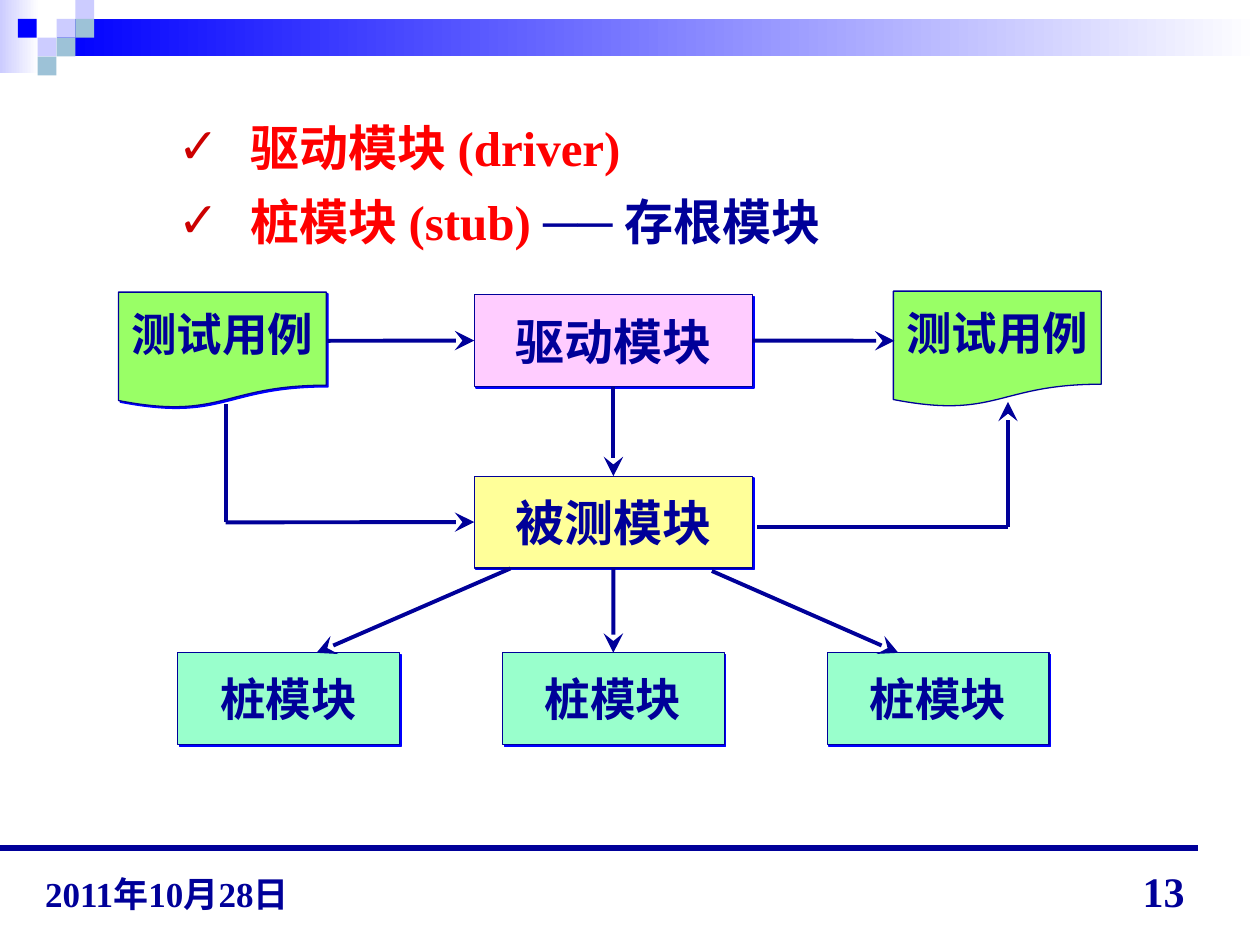
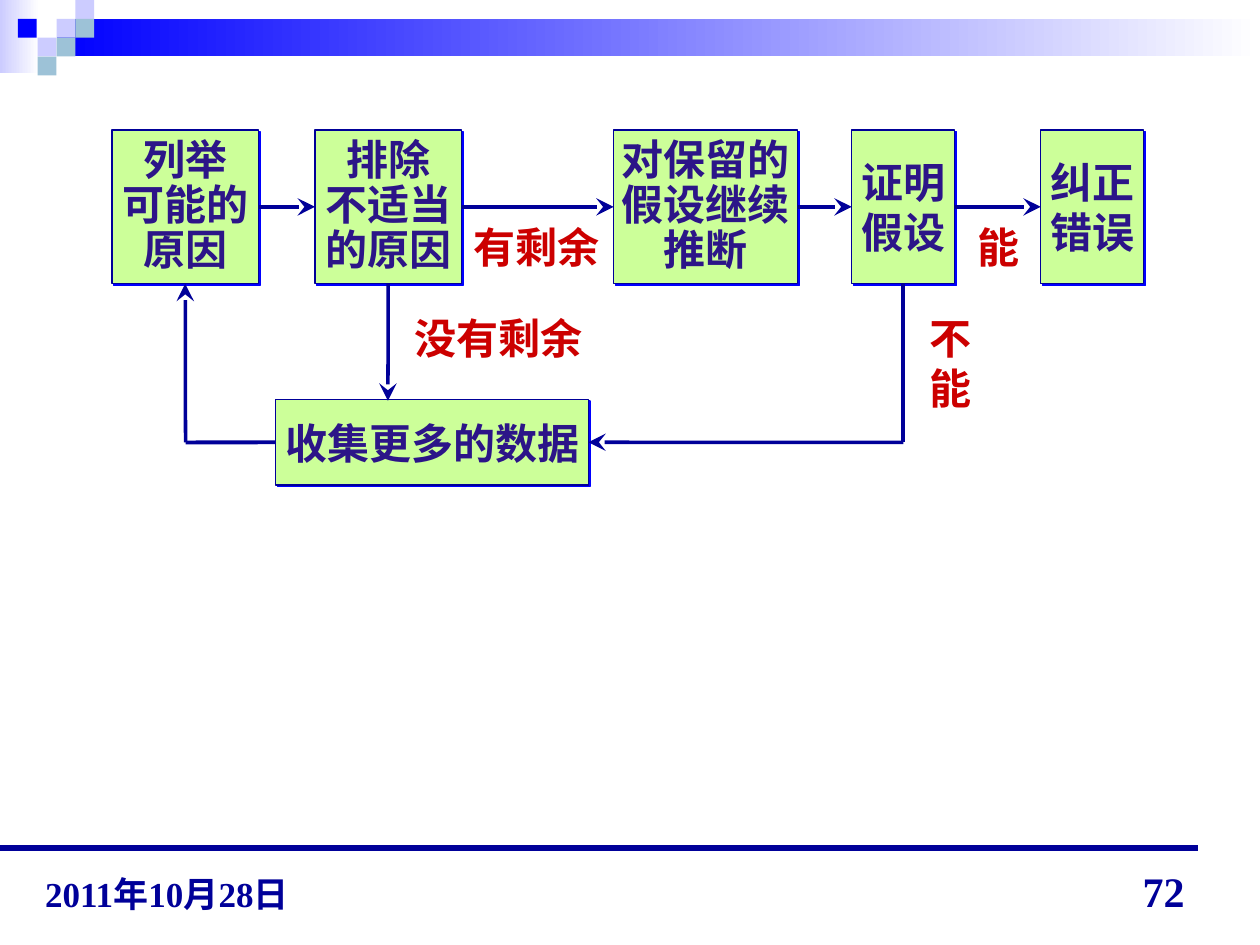
import pptx
import pptx.util
import pptx.dml.color
import pptx.enum.shapes
import pptx.enum.text
import pptx.oxml.ns
import lxml.etree

Cm = pptx.util.Cm
Pt = pptx.util.Pt
SHAPE = pptx.enum.shapes.MSO_SHAPE
ALIGN = pptx.enum.text.PP_ALIGN
ANCHOR = pptx.enum.text.MSO_ANCHOR

FONT = "Times New Roman"
NAVY, BLUE, RED, DARK_RED, INDIGO = "000099", "0000FF", "FF0000", "CC0000", "2C1588"
LILAC, STEEL = "CCCCFF", "9DC2D7"
GREEN, PINK, YELLOW, MINT, LIME = "99FF66", "FFCCFF", "FFFF99", "99FFCC", "CCFF99"
TOP, LEFT, BOTTOM, RIGHT = range(4)


def color(value):
    return pptx.dml.color.RGBColor.from_string(value)


def add_element(parent, tag, **attributes):
    return lxml.etree.SubElement(parent, pptx.oxml.ns.qn(tag), attributes)


def style_font(font, size, value=None):
    font.name, font.size, font.bold = FONT, Pt(size), True
    if value:
        font.color.rgb = color(value)


def write(shape, text, size, value, align=ALIGN.LEFT, anchor=ANCHOR.TOP, spacing=1.0):
    frame = shape.text_frame
    frame.word_wrap = False
    frame.vertical_anchor = anchor
    frame.text = text
    for paragraph in frame.paragraphs:
        paragraph.alignment = align
        paragraph.line_spacing = spacing
        style_font(paragraph.font, size, value)


def add_plain(slide, left, top, width, height, kind=SHAPE.RECTANGLE):
    shape = slide.shapes.add_shape(kind, Cm(left), Cm(top), Cm(width), Cm(height))
    shape.shadow.inherit = False
    shape.line.fill.background()
    return shape


def add_square(slide, left, top, value):
    shape = add_plain(slide, left, top, 0.38, 0.38)
    shape.fill.solid()
    shape.fill.fore_color.rgb = color(value)


def add_fade(slide, left, top, width, height, value):
    shape = add_plain(slide, left, top, width, height)
    shape.fill.gradient()
    shape.fill.gradient_angle = 0
    for stop, stop_color in zip(shape.fill.gradient_stops, (value, "FFFFFF")):
        stop.color.rgb = color(stop_color)


def add_box(slide, left, top, width, height, fill, kind=SHAPE.RECTANGLE, shadow=True):
    shape = add_plain(slide, left, top, width, height, kind)
    shape.fill.solid()
    shape.fill.fore_color.rgb = color(fill)
    shape.line.color.rgb = color(NAVY)
    shape.line.width = Pt(0.75)
    frame = shape.text_frame
    frame.margin_left = frame.margin_right = frame.margin_top = frame.margin_bottom = 0
    if shadow:
        effects = shape.element.spPr.find(pptx.oxml.ns.qn("a:effectLst"))
        outer = add_element(effects, "a:outerShdw", blurRad="0", dist="17780",
                            dir="2700000", algn="ctr", rotWithShape="0")
        add_element(outer, "a:srgbClr", val=BLUE)
    return shape


def add_module(slide, left, top, width, text, fill, size=28):
    shape = add_box(slide, left, top, width, 1.85, fill)
    write(shape, text, size, NAVY, ALIGN.CENTER, ANCHOR.MIDDLE)
    return shape


def add_test_case(slide, left, top, shadow):
    shape = add_box(slide, left, top, 4.19, 2.34, GREEN, SHAPE.FLOWCHART_DOCUMENT, shadow)
    shape.text_frame.margin_top = Cm(0.28)
    write(shape, "测试用例", 26, NAVY, ALIGN.CENTER)


def add_step(slide, left, top, width, height, text, spacing):
    shape = add_box(slide, left, top, width, height, LIME)
    write(shape, text, 24, INDIGO, ALIGN.CENTER, ANCHOR.MIDDLE, spacing)
    return shape


def add_text(slide, left, top, width, height, text, size, value, **layout):
    shape = slide.shapes.add_textbox(Cm(left), Cm(top), Cm(width), Cm(height))
    write(shape, text, size, value, **layout)


def connect(slide, start, end, width=2.25, arrow=True):
    def is_point(place):
        return isinstance(place[0], (int, float))

    origin = start if is_point(start) else (0, 0)
    target = end if is_point(end) else (0, 0)
    connector = slide.shapes.add_connector(
        pptx.enum.shapes.MSO_CONNECTOR.STRAIGHT, *map(Cm, origin + target))
    if not is_point(start):
        connector.begin_connect(*start)
    if not is_point(end):
        connector.end_connect(*end)
    connector.line.color.rgb = color(NAVY)
    connector.line.width = Pt(width)
    if arrow:
        add_element(connector.line._get_or_add_ln(), "a:tailEnd", type="stealth",
                    w="lg", len="lg")
    add_element(connector.element.spPr, "a:effectLst")


def add_frame(slide, number):
    add_fade(slide, 0, 0, 0.79, 1.48, LILAC)
    add_fade(slide, 1.14, 0.38, 24.26, 0.76, BLUE)
    squares = [(1.14, 0.38, LILAC), (1.52, 0, LILAC), (1.52, 0.38, STEEL),
               (0.76, 0.76, LILAC), (0.36, 0.38, BLUE), (1.14, 0.76, STEEL),
               (0.76, 1.14, STEEL)]
    for left, top, value in squares:
        add_square(slide, left, top, value)
    connect(slide, (0, 17.09), (24.16, 17.09), 3.25, arrow=False)
    add_text(slide, 18.21, 17.32, 5.92, 1.27, number, 24, NAVY,
             align=ALIGN.RIGHT, anchor=ANCHOR.BOTTOM)
    add_text(slide, 0.66, 17.25, 6.53, 1.32, "2011年10月28日", 20, NAVY,
             anchor=ANCHOR.BOTTOM)


def fill_bullets(body, bullets):
    body.left, body.top, body.width, body.height = Cm(2.06), Cm(2.18), Cm(21.51), Cm(3.56)
    frame = body.text_frame
    frame.word_wrap = True
    frame.auto_size = pptx.enum.text.MSO_AUTO_SIZE.NONE
    frame.vertical_anchor = ANCHOR.TOP
    for index, parts in enumerate(bullets):
        paragraph = frame.add_paragraph() if index else frame.paragraphs[0]
        properties = paragraph._p.get_or_add_pPr()
        properties.set("marL", str(Cm(2.74)))
        properties.set("indent", str(Cm(-1.47)))
        add_element(add_element(properties, "a:buClr"), "a:srgbClr", val=DARK_RED)
        add_element(properties, "a:buChar", char="✓")
        paragraph.line_spacing = 1.05
        paragraph.space_before = Pt(7 if index else 0)
        style_font(paragraph.font, 28)
        for text, value in parts:
            run = paragraph.add_run()
            run.text = text
            run.font.color.rgb = color(value)


def build_modules(presentation):
    slide = presentation.slides.add_slide(presentation.slide_layouts[1])
    title = slide.shapes.title.element
    title.getparent().remove(title)
    add_frame(slide, "13")
    fill_bullets(slide.placeholders[1], [
        [("驱动模块 (driver)", RED)],
        [("桩模块 (stub)", RED), (" ── 存根模块", NAVY)],
    ])

    tested = add_module(slide, 9.56, 9.6, 5.61, "被测模块", YELLOW)
    driver = add_module(slide, 9.56, 5.94, 5.61, "驱动模块", PINK)
    stubs = [add_module(slide, 3.58 + 6.55 * column, 13.16, 4.47, "桩模块", MINT, 26)
             for column in range(3)]
    add_test_case(slide, 2.39, 5.89, shadow=True)
    add_test_case(slide, 18.01, 5.87, shadow=False)

    connect(slide, (driver, BOTTOM), (tested, TOP))
    connect(slide, (tested, BOTTOM), (stubs[1], TOP))
    connect(slide, (10.29, 11.46), (6.38, 13.16))
    connect(slide, (14.35, 11.51), (18.11, 13.16))
    connect(slide, (6.6, 6.87), (driver, LEFT))
    connect(slide, (driver, RIGHT), (18.03, 6.87))
    connect(slide, (4.55, 8.15), (4.55, 10.53), arrow=False)
    connect(slide, (4.55, 10.53), (tested, LEFT))
    connect(slide, (15.27, 10.62), (20.32, 10.62), arrow=False)
    connect(slide, (20.32, 10.62), (20.32, 8.1))


def build_debugging(presentation):
    slide = presentation.slides.add_slide(presentation.slide_layouts[6])
    add_frame(slide, "72")
    steps = [add_step(slide, left, 2.62, width, 3.1, text, spacing)
             for left, width, text, spacing in [
                 (2.26, 2.95, "列举\n可能的\n原因", 0.9),
                 (6.35, 2.95, "排除\n不适当\n的原因", 0.9),
                 (12.37, 3.71, "对保留的\n假设继续\n推断", 0.9),
                 (17.17, 2.08, "证明\n假设", 1.0),
                 (20.98, 2.08, "纠正\n错误", 1.0)]]
    collect = add_step(slide, 5.56, 8.05, 6.3, 1.73, "收集更多的数据", 1.0)

    for step, following in zip(steps, steps[1:]):
        connect(slide, (step, RIGHT), (following, LEFT), 2)
    causes, exclusion, _, proof, _ = steps
    connect(slide, (exclusion, BOTTOM), (7.82, 8.08), 2)
    connect(slide, (proof, BOTTOM), (18.21, 8.92), arrow=False)
    connect(slide, (18.21, 8.92), (collect, RIGHT), 2)
    connect(slide, (collect, LEFT), (3.74, 8.92), arrow=False)
    connect(slide, (3.74, 8.92), (causes, BOTTOM), 2)

    for left, top, width, text in [(9.3, 4.34, 3.05, "有剩余"), (19.46, 4.34, 1.35, "能"),
                                   (8.1, 6.17, 3.89, "没有剩余"), (18.49, 6.17, 2.18, "不能")]:
        add_text(slide, left, top, width, 1.27, text, 24, DARK_RED)


def main():
    presentation = pptx.Presentation()
    presentation.slide_width = Cm(25.4)
    presentation.slide_height = Cm(19.05)
    build_modules(presentation)
    build_debugging(presentation)
    presentation.save("out.pptx")


if __name__ == "__main__":
    main()
